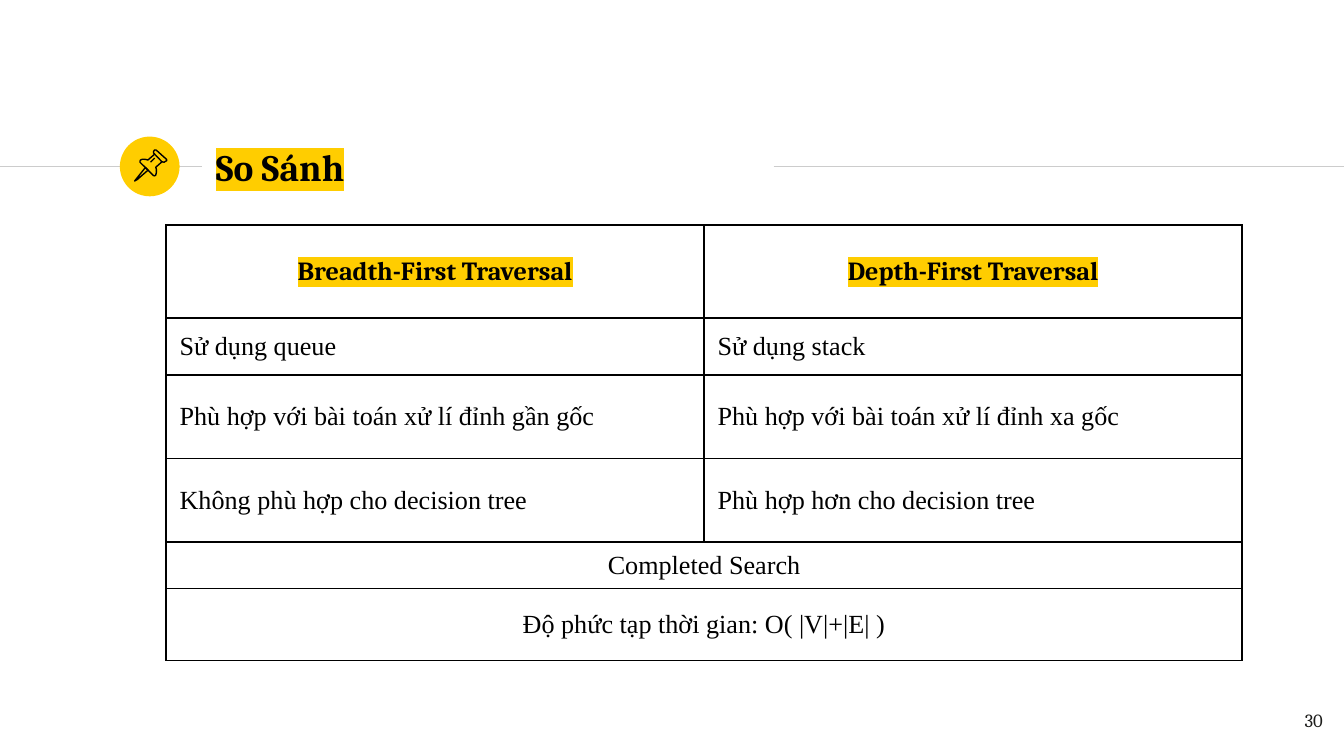
from lxml.etree import SubElement
from pptx import Presentation
from pptx.dml.color import RGBColor
from pptx.enum.shapes import MSO_CONNECTOR, MSO_SHAPE
from pptx.enum.text import MSO_ANCHOR as ANCHOR, PP_ALIGN as ALIGN
from pptx.oxml.ns import qn
from pptx.util import Pt

BLACK = RGBColor(0x00, 0x00, 0x00)
INK = RGBColor(0x1D, 0x1D, 0x1B)
YELLOW = RGBColor(0xFF, 0xCD, 0x00)
GREY = RGBColor(0xCC, 0xCC, 0xCC)
HEADING, BODY = "Cambria", "Times New Roman"
WIDTH, HEIGHT = 720, 405

COMPARISON = [
    (50, ["Breadth-First Traversal", "Depth-First Traversal"]),
    (30.5, ["Sử dụng queue", "Sử dụng stack"]),
    (44.75, ["Phù hợp với bài toán xử lí đỉnh gần gốc",
             "Phù hợp với bài toán xử lí đỉnh xa gốc"]),
    (44.75, ["Không phù hợp cho decision tree",
             "Phù hợp hơn cho decision tree"]),
    (25, ["Completed Search"]),
    (38.5, ["Độ phức tạp thời gian: O( |V|+|E| )"]),
]

PIN_NEEDLE = [(13.7, 16.6), (8.6, 23), (7.9, 23.8), (9.4, 23), (15.1, 18)]
PIN_HEAD = [(18.7, 9.4), (22.6, 13.5), (23.8, 13.7), (24.6, 13.2), (25.2, 12.9),
            (25.1, 12.2), (19.5, 7.2), (18.6, 7.2), (18.1, 8), (18.1, 8.8)]
PIN_BODY = [(18.7, 9.4), (15.1, 12.5), (13.7, 12.2), (12.2, 12.1), (11, 12.6),
            (10.8, 13.3), (10.9, 13.8), (18.1, 20.9), (18.8, 21), (19.3, 20.6),
            (19.6, 19.2), (19.6, 17.5), (19.3, 16.4), (22.6, 13.5)]
PIN_TICK = [(16.5, 13.7), (18.7, 11.5)]


def write(tf, text, size, font, color=BLACK, bold=False, align=ALIGN.LEFT, highlight=None):
    p = tf.paragraphs[0]
    p.alignment = align
    p.font.size, p.font.name, p.font.bold = Pt(size), font, bold
    p.font.color.rgb = color
    r = p.add_run()
    r.text = text
    if highlight is not None:
        mark = SubElement(r._r.get_or_add_rPr(), qn("a:highlight"))
        SubElement(mark, qn("a:srgbClr"), val=str(highlight))


def add_text(slide, x, y, w, h, text, size, anchor=ANCHOR.TOP, **style):
    s = slide.shapes.add_textbox(Pt(x), Pt(y), Pt(w), Pt(h))
    tf = s.text_frame
    tf.word_wrap = True
    tf.vertical_anchor = anchor
    tf.margin_left = tf.margin_right = tf.margin_top = tf.margin_bottom = Pt(7.2)
    write(tf, text, size, HEADING, **style)
    return s


def add_rule(slide, x1, x2, y):
    s = slide.shapes.add_connector(MSO_CONNECTOR.STRAIGHT, Pt(x1), Pt(y), Pt(x2), Pt(y))
    s.line.color.rgb, s.line.width = GREY, Pt(0.75)
    SubElement(s._element.spPr, qn("a:effectLst"))
    return s


def add_badge(slide, x, y, size):
    disc = slide.shapes.add_shape(MSO_SHAPE.OVAL, Pt(x), Pt(y), Pt(size), Pt(size))
    disc.shadow.inherit = False
    disc.fill.solid()
    disc.fill.fore_color.rgb = YELLOW
    disc.line.fill.background()
    unit = size / 32
    for outline, closed in ((PIN_NEEDLE, True), (PIN_HEAD, True),
                            (PIN_BODY, False), (PIN_TICK, False)):
        points = [(Pt(x + px * unit), Pt(y + py * unit)) for px, py in outline]
        builder = slide.shapes.build_freeform(*points[0])
        builder.add_line_segments(points[1:], close=closed)
        s = builder.convert_to_shape()
        s.shadow.inherit = False
        s.fill.background()
        s.line.color.rgb, s.line.width = BLACK, Pt(0.75)


def add_header(slide, x, y, w, h):
    middle = y + h / 2
    title = add_text(slide, x, y, w, h, "So Sánh", 20, ANCHOR.MIDDLE,
                     bold=True, highlight=YELLOW)
    add_rule(slide, 0, x, middle).end_connect(title, 1)
    add_rule(slide, x + w, WIDTH, middle).begin_connect(title, 3)
    add_badge(slide, x - 44.3, middle - 16, 32)


def style_cell(cell):
    tcPr = cell._tc.get_or_add_tcPr()
    for side in ("lnL", "lnR", "lnT", "lnB"):
        ln = SubElement(tcPr, qn(f"a:{side}"), w=str(Pt(1)))
        fill = SubElement(ln, qn("a:solidFill"))
        SubElement(fill, qn("a:srgbClr"), val=str(BLACK))
    cell.fill.background()
    cell.vertical_anchor = ANCHOR.MIDDLE


def add_comparison(slide, x, y, w):
    height = sum(h for h, _ in COMPARISON)
    table = slide.shapes.add_table(len(COMPARISON), 2, Pt(x), Pt(y), Pt(w), Pt(height)).table
    table.first_row = table.horz_banding = False
    for column in table.columns:
        column.width = Pt(w / 2)
    for i, (h, texts) in enumerate(COMPARISON):
        table.rows[i].height = Pt(h)
        for j in range(2):
            style_cell(table.cell(i, j))
        if len(texts) == 1:
            table.cell(i, 0).merge(table.cell(i, 1))
        head = i == 0
        align = ALIGN.CENTER if head or len(texts) == 1 else ALIGN.LEFT
        for j, text in enumerate(texts):
            write(table.cell(i, j).text_frame, text, 14, HEADING if head else BODY,
                  bold=head, align=align, highlight=YELLOW if head else None)


def main():
    prs = Presentation()
    prs.slide_width, prs.slide_height = Pt(WIDTH), Pt(HEIGHT)
    slide = prs.slides.add_slide(prs.slide_layouts[6])
    add_header(slide, 108.5, 72, 306, 34.4)
    add_comparison(slide, 89, 120.5, 576.5)
    add_text(slide, 672.5, 373.7, 43.2, 31, "30", 10, color=INK, align=ALIGN.RIGHT)
    prs.save("out.pptx")


if __name__ == "__main__":
    main()
